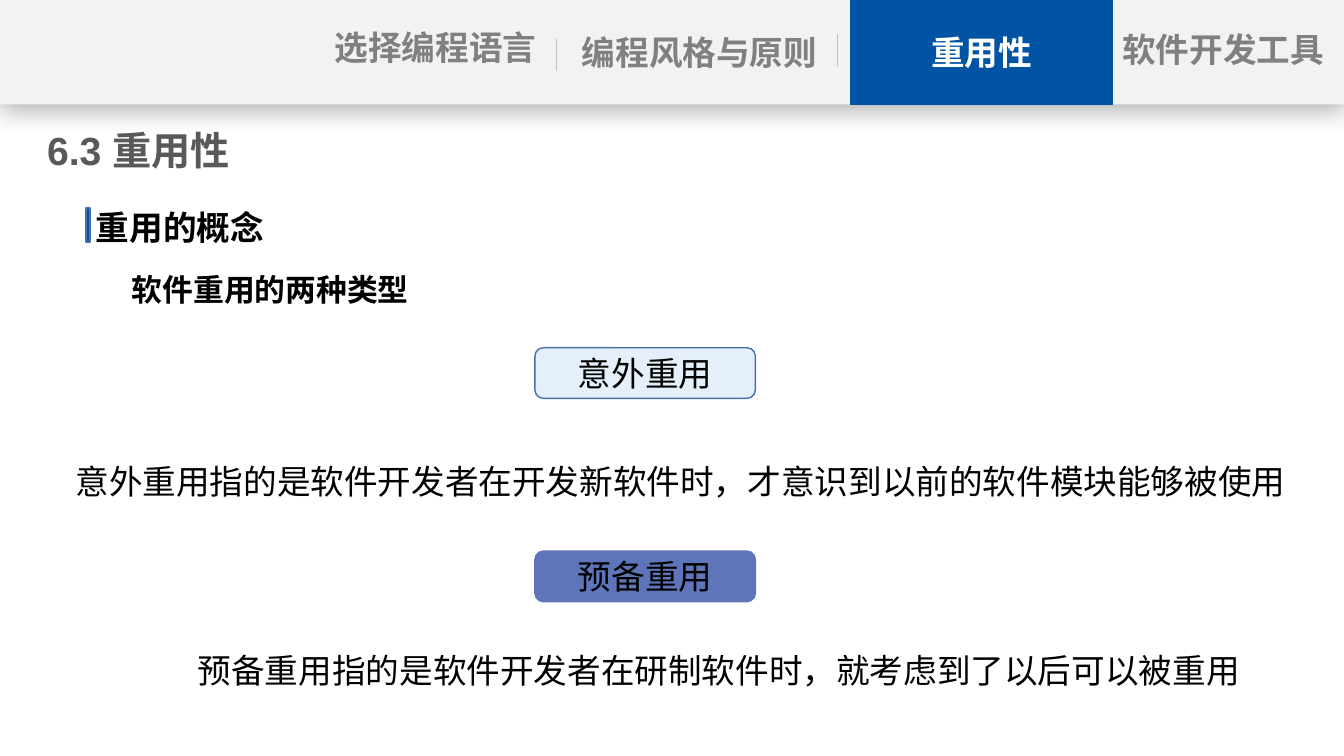
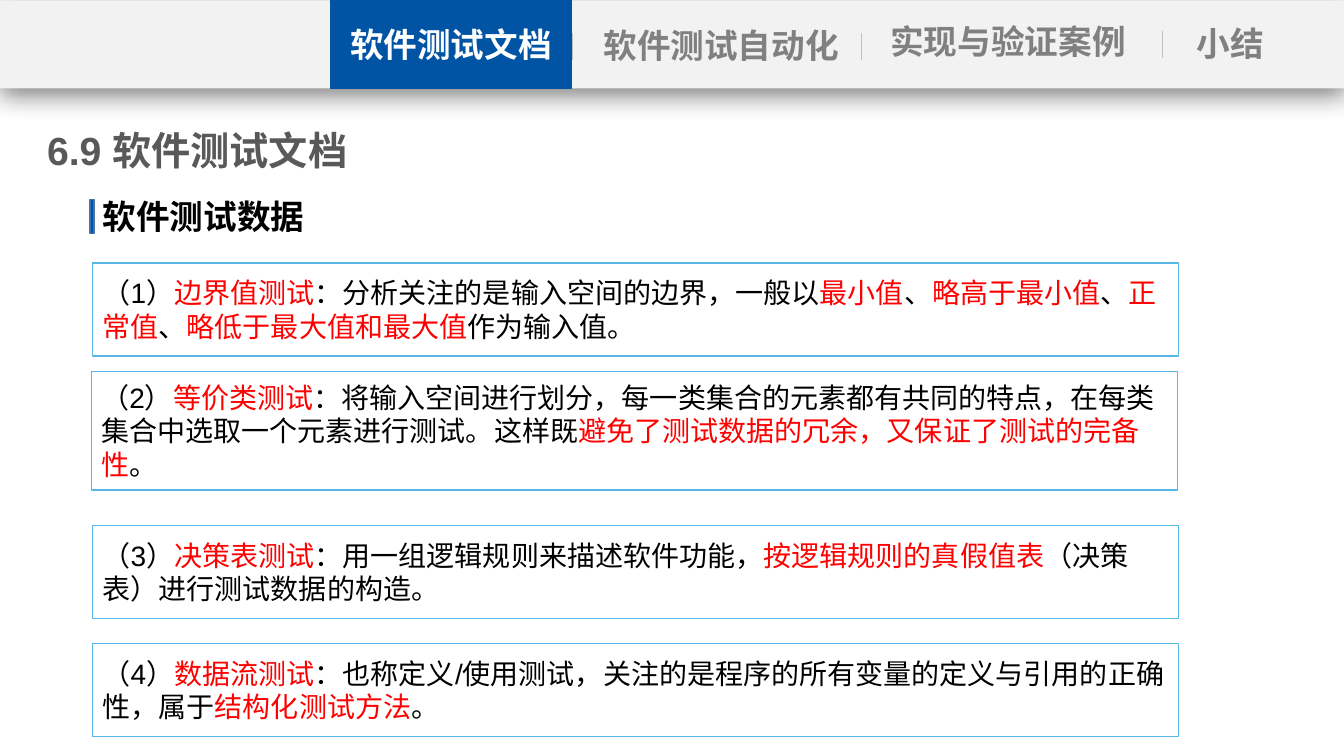
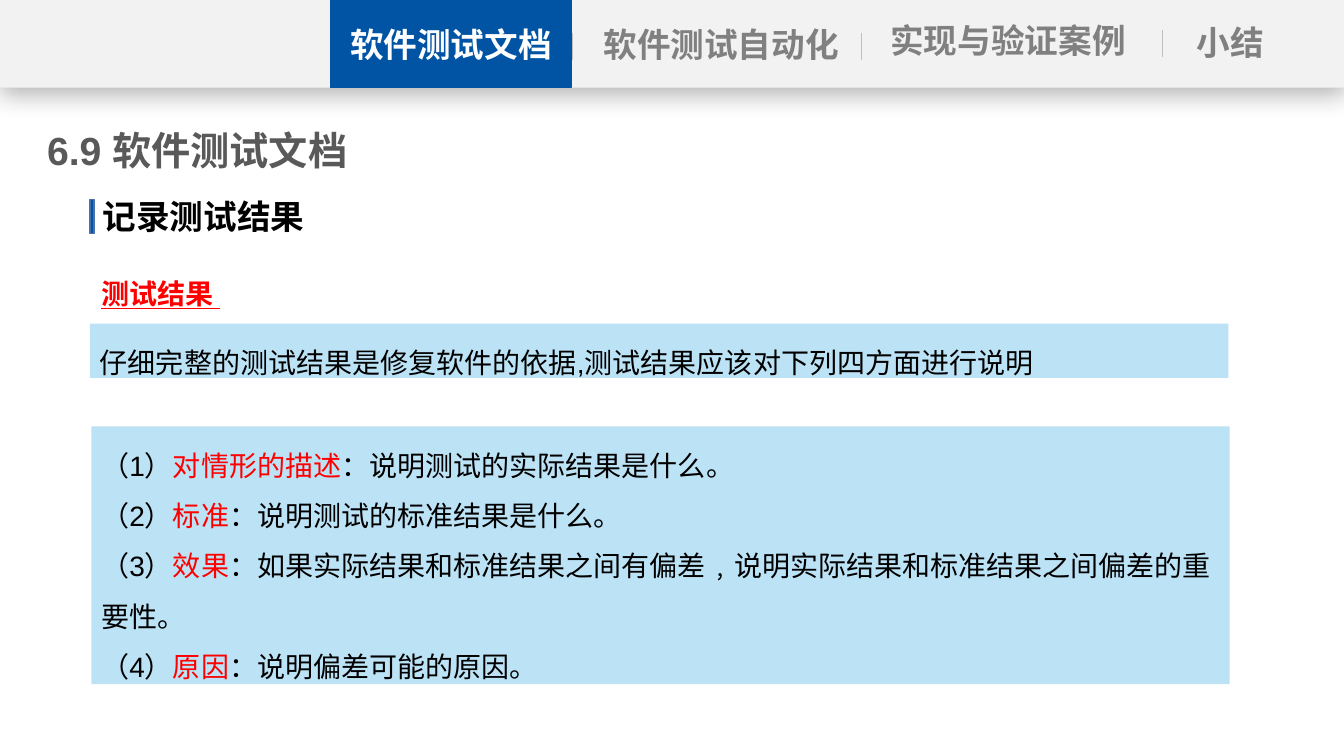
from dataclasses import dataclass

from lxml import etree
from pptx import Presentation
from pptx import util as u
from pptx.dml.color import RGBColor
from pptx.enum import shapes, text
from pptx.oxml import ns

WIDTH, HEIGHT = u.Inches(13.33), u.Inches(7.5)


@dataclass(frozen=True)
class Theme:
    font: str = "Arial"
    title_size: int = 28
    head_size: int = 24
    sub_size: int = 22
    body_size: int = 20
    black: str = "000000"
    white: str = "FFFFFF"
    title: str = "595959"
    muted: str = "808080"
    band: str = "F2F2F2"
    rule: str = "BFBFBF"
    active: str = "0054A3"
    edge: str = "476FAA"
    pale: str = "E4EFF9"
    violet: str = "5E75BA"
    frame: str = "58B6E5"
    panel: str = "BCE2F5"
    accent: str = "FF0000"


THEME = Theme()


@dataclass(frozen=True)
class Nav:
    """Navigation band: labels are (text, left, top, width), rules are (left, top)."""
    height: float
    active: tuple
    labels: tuple
    rules: tuple
    rule_length: float


CODING_NAV = Nav(
    13.8, ("重用性", 63.3, 19.5),
    (("选择编程语言", 23.5, 2.9, 17.8), ("编程风格与原则", 41.7, 3.6, 20.7),
     ("软件开发工具", 83.2, 3.2, 15.6)),
    ((41.4, 5.1), (62.3, 4.5)), 4.3)
TESTING_NAV = Nav(
    11.6, ("软件测试文档", 24.6, 17.9),
    (("软件测试自动化", 44.7, 2.5, 17.9), ("实现与验证案例", 65.4, 2, 19.2),
     ("小结", 85.5, 2.3, 12.1)),
    ((42.6, 4.3), (64.1, 4.3), (86.5, 4)), 3.6)


# Geometry and formatting
def place(left, top, width, height):
    """Turn percentages of the slide into lengths."""
    return (int(WIDTH * left / 100), int(HEIGHT * top / 100),
            int(WIDTH * width / 100), int(HEIGHT * height / 100))


def rgb(value):
    return RGBColor.from_string(value)


def style(font, size, color, bold=False):
    font.name, font.size, font.bold = THEME.font, u.Pt(size), bold
    font.color.rgb = rgb(color)


def write(shape, lines, size, color=THEME.black, bold=False, align=text.PP_ALIGN.LEFT,
          anchor=text.MSO_ANCHOR.TOP, spacing=None, side=0.1):
    """Fill a shape with lines; every second part between bars is accented."""
    frame = shape.text_frame
    frame.word_wrap, frame.auto_size = True, text.MSO_AUTO_SIZE.NONE
    frame.vertical_anchor = anchor
    frame.margin_left = frame.margin_right = u.Inches(side)
    frame.margin_top = frame.margin_bottom = u.Inches(0.05)
    for number, line in enumerate(lines):
        para = frame.add_paragraph() if number else frame.paragraphs[0]
        para.alignment, para.line_spacing = align, spacing
        style(para.font, size, color, bold)
        for index, part in enumerate(line.split("|")):
            span = para.add_run()
            span.text = part
            if index % 2:
                span.font.color.rgb = rgb(THEME.accent)


def add_text(page, area, line, size, **options):
    box = page.shapes.add_textbox(*place(*area))
    write(box, [line], size, **options)
    return box


def add_block(page, area, fill=None, line=None, kind=shapes.MSO_SHAPE.RECTANGLE):
    block = page.shapes.add_shape(kind, *place(*area))
    block.shadow.inherit = False
    if fill:
        block.fill.solid()
        block.fill.fore_color.rgb = rgb(fill)
    else:
        block.fill.background()
    if line:
        block.line.color.rgb, block.line.width = rgb(line), u.Pt(1)
    else:
        block.line.fill.background()
    return block


def cast_shadow(shape, opacity):
    effects = shape._element.spPr.find(ns.qn("a:effectLst"))
    shadow = etree.SubElement(effects, ns.qn("a:outerShdw"), blurRad=str(u.Pt(18)),
                              dist=str(u.Pt(4)), dir="5400000", rotWithShape="0")
    color = etree.SubElement(shadow, ns.qn("a:srgbClr"), val=THEME.black)
    etree.SubElement(color, ns.qn("a:alpha"), val=str(opacity * 1000))


def add_rule(page, left, top, length):
    x, y, _, drop = place(left, top, 0, length)
    rule = page.shapes.add_connector(shapes.MSO_CONNECTOR.STRAIGHT, x, y, x, y + drop)
    rule.line.color.rgb, rule.line.width = rgb(THEME.rule), u.Pt(0.5)
    etree.SubElement(rule._element.spPr, ns.qn("a:effectLst"))


# Parts shared by the slides
def add_nav(page, nav, drop=0, opacity=29):
    band = add_block(page, (0, drop, 100, nav.height), THEME.band)
    cast_shadow(band, opacity)
    label, left, width = nav.active
    tab = add_block(page, (left, 0, width, nav.height + drop), THEME.active, THEME.active)
    write(tab, [label], THEME.head_size, THEME.white, True,
          text.PP_ALIGN.CENTER, text.MSO_ANCHOR.MIDDLE)
    for label, left, top, width in nav.labels:
        add_text(page, (left, top + drop, width, 6.8), label, THEME.head_size,
                 color=THEME.muted, bold=True, align=text.PP_ALIGN.CENTER, side=0)
    for left, top in nav.rules:
        add_rule(page, left, top + drop, nav.rule_length)


def add_page(deck, title, nav, **nav_options):
    page = deck.slides.add_slide(deck.slide_layouts[5])
    heading = page.shapes.title
    heading.left, heading.top, heading.width, heading.height = place(3.5, 16.1, 34.3, 7.7)
    write(heading, [title], THEME.title_size, THEME.title, True, side=0)
    add_nav(page, nav, **nav_options)
    return page


def add_section(page, label, bar=(6.7, 26.4), corner=(6.9, 25.2)):
    add_block(page, (*bar, 0.3, 4.5), THEME.active, THEME.edge)
    add_text(page, (*corner, 41.6, 6.7), label, THEME.head_size, bold=True)


def add_statement(page, area, line, size, indent=0.29, bold=False):
    box = add_text(page, area, line, size, bold=bold, spacing=u.Pt(35))
    props = box.text_frame.paragraphs[0]._p.get_or_add_pPr()
    props.set("marL", str(u.Inches(indent)))
    props.set("indent", "0")


# Slides
def reuse_slide(deck):
    page = add_page(deck, "6.3 重用性", CODING_NAV)
    add_section(page, "重用的概念", (6.4, 27.5), (6.4, 26.7))
    add_statement(page, (6.9, 33.5, 25.4, 7.2), "软件重用的两种类型", THEME.sub_size, bold=True)
    for label, top, fill, line in (("意外重用", 46, THEME.pale, THEME.edge),
                                   ("预备重用", 72.9, THEME.violet, THEME.violet)):
        pill = add_block(page, (39.8, top, 16.4, 6.7), fill, line,
                         shapes.MSO_SHAPE.FLOWCHART_ALTERNATE_PROCESS)
        write(pill, [label], THEME.head_size, align=text.PP_ALIGN.CENTER,
              anchor=text.MSO_ANCHOR.MIDDLE)
    add_statement(page, (2.7, 59.2, 95.9, 7.2),
                  "意外重用指的是软件开发者在开发新软件时，才意识到以前的软件模块能够被使用",
                  THEME.head_size)
    add_statement(page, (4.3, 84.1, 94.5, 7.2),
                  "预备重用指的是软件开发者在研制软件时，就考虑到了以后可以被重用",
                  THEME.head_size, indent=1.29)


def test_data_slide(deck):
    page = add_page(deck, "6.9 软件测试文档", TESTING_NAV, drop=0.1, opacity=50)
    add_section(page, "软件测试数据")
    methods = (
        (6.9, 34.8, 12.3, "（1）|边界值测试|：分析关注的是输入空间的边界，一般以|最小值|、"
         "|略高于最小值|、|正常值|、|略低于最大值和最大值|作为输入值。"),
        (6.8, 49.1, 15.7, "（2）|等价类测试|：将输入空间进行划分，每一类集合的元素都有共同的特点，"
         "在每类集合中选取一个元素进行测试。这样既|避免了测试数据的冗余，又保证了测试的完备性|。"),
        (6.9, 69.5, 12.3, "（3）|决策表测试|：用一组逻辑规则来描述软件功能，"
         "|按逻辑规则的真假值表|（决策表）进行测试数据的构造。"),
        (6.9, 85.1, 12.3, "（4）|数据流测试|：也称定义/使用测试，"
         "关注的是程序的所有变量的定义与引用的正确性，属于|结构化测试方法|。"),
    )
    for left, top, height, line in methods:
        card = add_block(page, (left, top, 80.8, height), line=THEME.frame)
        write(card, [line], THEME.body_size, anchor=text.MSO_ANCHOR.MIDDLE)


def test_result_slide(deck):
    page = add_page(deck, "6.9 软件测试文档", TESTING_NAV)
    add_section(page, "记录测试结果")
    label = add_text(page, (6.8, 33.7, 52, 7.3), "测试结果 ", THEME.body_size,
                     color=THEME.accent, bold=True, spacing=1.5)
    label.text_frame.paragraphs[0].font.underline = True
    panels = (
        (6.7, 42.8, 7.2, ["仔细完整的测试结果是修复软件的依据,测试结果应该对下列四方面进行说明"]),
        (6.8, 56.4, 34.1, [
            "（1）|对情形的描述|：说明测试的实际结果是什么。",
            "（2）|标准|：说明测试的标准结果是什么。",
            "（3）|效果|：如果实际结果和标准结果之间有偏差﹐说明实际结果和标准结果之间偏差的重要性。",
            "（4）|原因|：说明偏差可能的原因。"]),
    )
    for left, top, height, lines in panels:
        panel = add_block(page, (left, top, 84.7, height), THEME.panel)
        write(panel, lines, THEME.body_size, spacing=1.5)


def main():
    deck = Presentation()
    deck.slide_width, deck.slide_height = WIDTH, HEIGHT
    reuse_slide(deck)
    test_data_slide(deck)
    test_result_slide(deck)
    deck.save("out.pptx")


if __name__ == "__main__":
    main()
